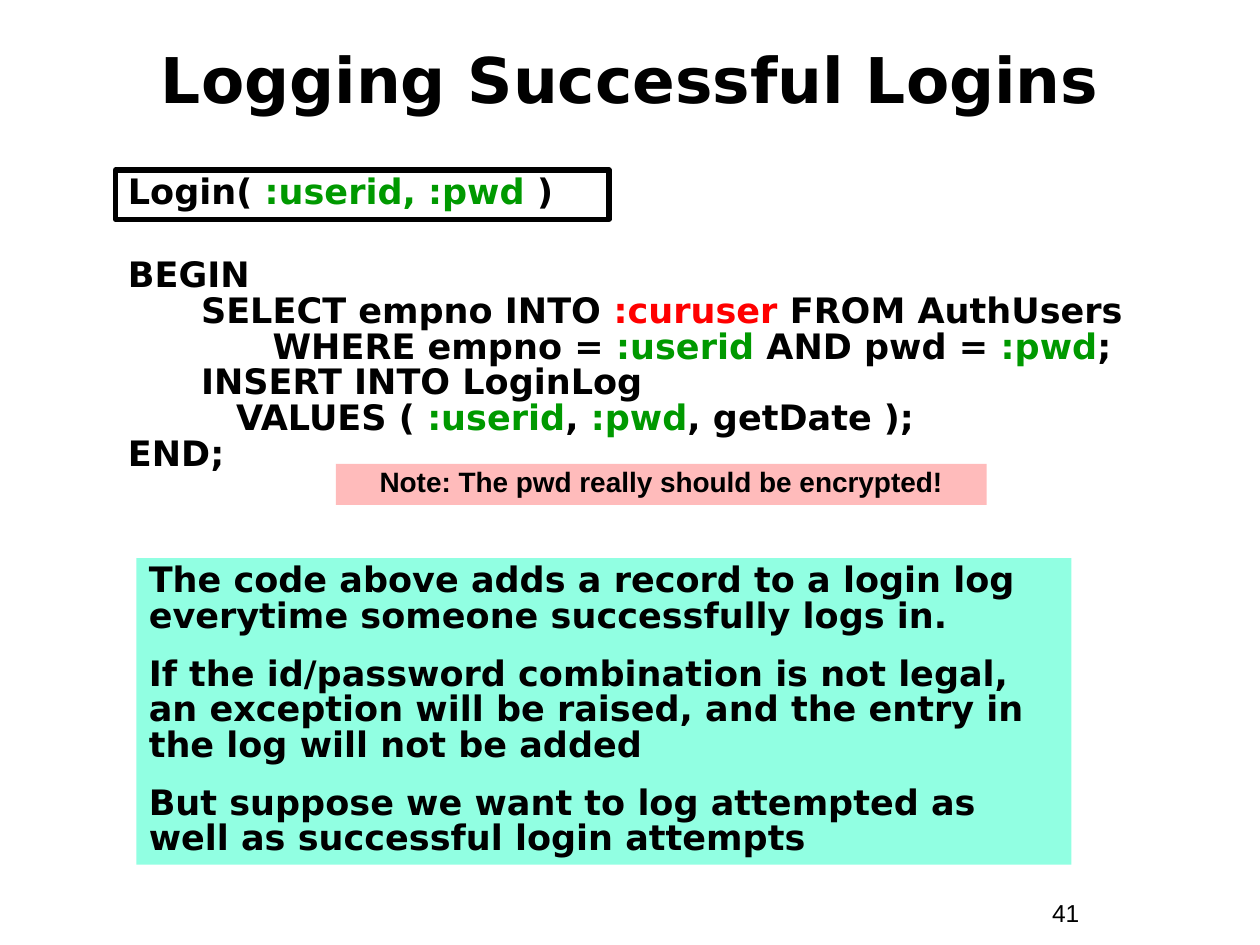
from dataclasses import dataclass
from typing import Optional

from pptx import Presentation
from pptx import util as u
from pptx.dml.color import RGBColor
from pptx.enum import shapes, text

SANS = "DejaVu Sans"
BLACK, RED, GREEN = "000000", "FF0000", "009900"
# Names of code variables and the colours they take
USER, PWD = (":userid", GREEN), (":pwd", GREEN)


@dataclass
class Box:
    left: float
    top: float
    width: float
    height: float
    fill: Optional[str] = None
    line: Optional[str] = None


def paint(color: str) -> RGBColor:
    return RGBColor.from_string(color)


def draw(slide, box: Box):
    """Add a rectangle, or a plain text box when it has no fill or line."""
    area = [u.Cm(n) for n in (box.left, box.top, box.width, box.height)]
    if not (box.fill or box.line):
        return slide.shapes.add_textbox(*area)
    shape = slide.shapes.add_shape(shapes.MSO_SHAPE.RECTANGLE, *area)
    shape.shadow.inherit = False
    if box.fill:
        shape.fill.solid()
        shape.fill.fore_color.rgb = paint(box.fill)
    else:
        shape.fill.background()
    if box.line:
        shape.line.color.rgb = paint(box.line)
        shape.line.width = u.Pt(3)
    else:
        shape.line.fill.background()
    return shape


def write(shape, paras: list, *, size: float = 20, font: str = SANS,
          bold: bool = True, align=text.PP_ALIGN.LEFT,
          anchor=text.MSO_ANCHOR.TOP, gap: float = 0,
          pitch: float = 0.85, hang: float = 0) -> None:
    """Each paragraph is a list of strings (black) or (string, colour) pairs."""
    frame = shape.text_frame
    frame.word_wrap = True
    frame.vertical_anchor = anchor
    for i, parts in enumerate(paras):
        para = frame.add_paragraph() if i else frame.paragraphs[0]
        para.alignment = align
        para.line_spacing = pitch
        para.space_before = u.Pt(gap if i else 0)
        if hang:
            props = para._p.get_or_add_pPr()
            props.set("marL", str(u.Cm(hang)))
            props.set("indent", str(-u.Cm(hang)))
        for part in parts:
            words, color = (part, BLACK) if isinstance(part, str) else part
            for n, row in enumerate(words.split("\n")):
                if n:
                    para.add_line_break()
                run = para.add_run()
                run.text = row
                run.font.size = u.Pt(size)
                run.font.name = font
                run.font.bold = bold
                run.font.color.rgb = paint(color)


def main() -> None:
    deck = Presentation()
    deck.slide_width, deck.slide_height = u.Cm(25.4), u.Cm(19.05)
    slide = deck.slides.add_slide(deck.slide_layouts[6])

    # Page number and title
    write(draw(slide, Box(20.96, 17.98, 2.34, 0.86)), [["41"]],
          size=14, font="Arial", bold=False, pitch=1)
    write(draw(slide, Box(0.85, 0.42, 23.7, 2.33)),
          [["Logging Successful Logins"]], size=36, pitch=1,
          align=text.PP_ALIGN.CENTER, anchor=text.MSO_ANCHOR.MIDDLE)

    # Code of the procedure
    write(draw(slide, Box(2.33, 5.1, 21.6, 6.35)), [
        ["BEGIN"],
        ["      SELECT empno INTO ", (":curuser", RED),
         " FROM AuthUsers\n        WHERE empno = ", USER,
         " AND pwd = ", PWD, ";"],
        ["      INSERT INTO LoginLog\n     VALUES ( ", USER, ", ", PWD,
         ", getDate );"],
        ["END;"],
    ], hang=0.95)

    # Explanation
    write(draw(slide, Box(2.75, 11.25, 18.85, 6.18, fill="91FFE2")), [
        ["The code above adds a record to a login log everytime someone "
         "successfully logs in."],
        ["If the id/password combination is not legal, an exception will be "
         "raised, and the entry in the log will not be added"],
        ["But suppose we want to log attempted as well as successful login "
         "attempts"],
    ], gap=12.5)

    # Procedure header
    write(draw(slide, Box(2.33, 3.43, 9.95, 0.99, line=BLACK)),
          [["Login( ", (":userid, :pwd", GREEN), " )"]])

    # Side note
    write(draw(slide, Box(6.77, 9.35, 13.12, 0.83, fill="FFBBBB")),
          [["Note: The pwd really should be encrypted!"]],
          size=16, font="Arial", align=text.PP_ALIGN.CENTER)

    deck.save("out.pptx")


if __name__ == "__main__":
    main()
